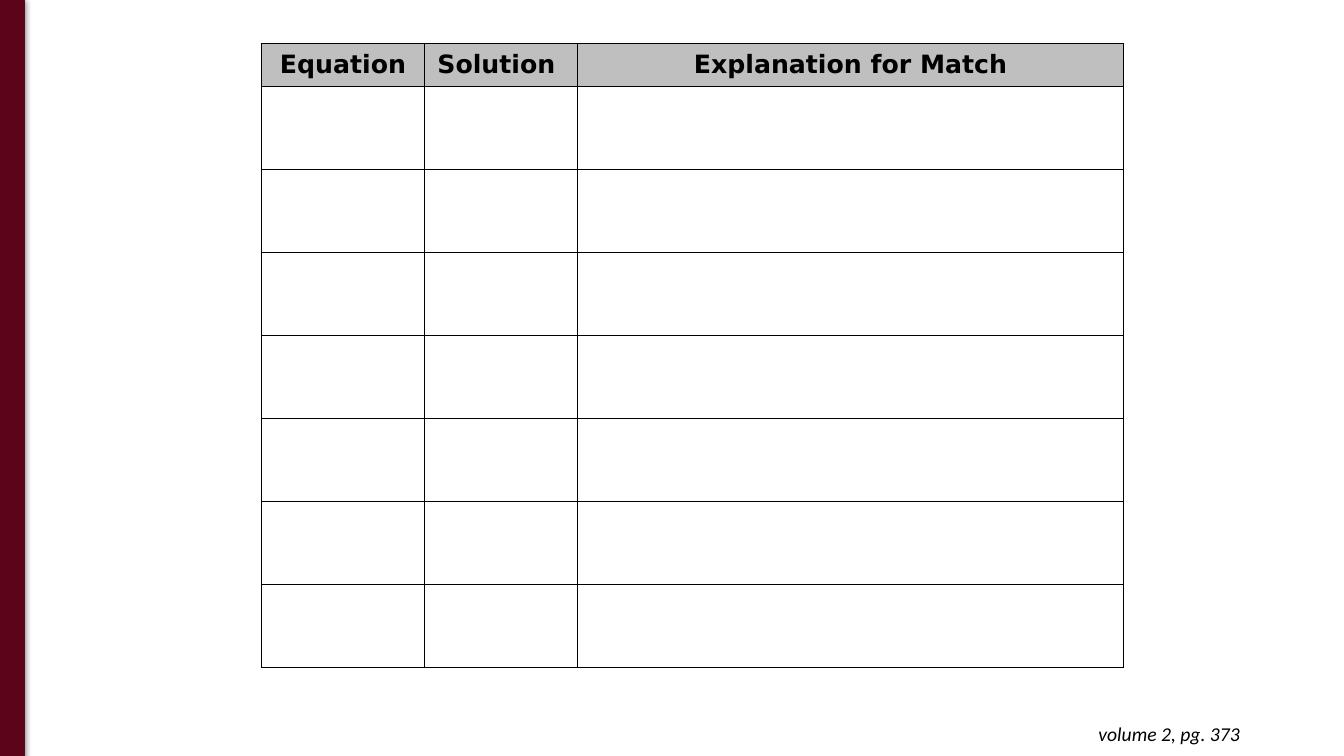
import pptx
import pptx.dml.color
import pptx.enum.shapes
import pptx.enum.text
import pptx.oxml
import pptx.oxml.ns
import pptx.util

Cm = pptx.util.Cm
Pt = pptx.util.Pt
Align = pptx.enum.text.PP_ALIGN
Anchor = pptx.enum.text.MSO_ANCHOR

COLORS = {"maroon": "5C051A", "header": "BFBFBF", "ink": "000000"}
HEADINGS = ["Equation", "Solution ", "Explanation for Match"]
COLUMN_WIDTHS = [4.09, 3.86, 13.77]
ROW_HEIGHTS = [1.09] + [2.09] * 7


def rgb(name):
    return pptx.dml.color.RGBColor.from_string(COLORS[name])


def apply(target, formats):
    for attribute, value in formats.items():
        setattr(target, attribute, value)


class MatchSlide:
    heading_font = {"name": "DejaVu Sans", "size": Pt(18), "bold": True}
    reference_font = {"name": "Calibri", "size": Pt(14), "italic": True}
    cell_format = {
        "margin_left": Cm(0.1), "margin_right": Cm(0.1),
        "margin_top": 0, "margin_bottom": 0,
        "vertical_anchor": Anchor.MIDDLE,
    }
    reference_format = {
        "margin_left": Cm(0.25), "margin_right": Cm(0.25),
        "margin_top": Cm(0.25), "margin_bottom": Cm(0.25),
        "word_wrap": True,
        "auto_size": pptx.enum.text.MSO_AUTO_SIZE.SHAPE_TO_FIT_TEXT,
    }

    def __init__(self, deck):
        self.slide = deck.slides.add_slide(deck.slide_layouts[6])

    def add_words(self, paragraph, text, font, alignment):
        paragraph.alignment = alignment
        run = paragraph.add_run()
        run.text = text
        apply(run.font, font)
        run.font.color.rgb = rgb("ink")

    def side_bar(self, left, top, width, height):
        bar = self.slide.shapes.add_shape(
            pptx.enum.shapes.MSO_SHAPE.RECTANGLE,
            Cm(left), Cm(top), Cm(width), Cm(height))
        bar.shadow.inherit = False
        bar.fill.solid()
        bar.fill.fore_color.rgb = rgb("maroon")
        bar.line.color.rgb = rgb("maroon")
        bar.line.width = Pt(0.75)
        effects = bar._element.spPr.find(pptx.oxml.ns.qn("a:effectLst"))
        effects.append(pptx.oxml.parse_xml(
            f'<a:outerShdw {pptx.oxml.ns.nsdecls("a")} blurRad="{Pt(4.5)}" '
            f'dist="{Pt(1.5)}" dir="5400000" rotWithShape="0">'
            f'<a:srgbClr val="{COLORS["ink"]}"><a:alpha val="50000"/>'
            '</a:srgbClr></a:outerShdw>'))

    def borders(self, cell):
        properties = cell._tc.get_or_add_tcPr()
        for position, side in enumerate(["lnL", "lnR", "lnT", "lnB"]):
            properties.insert(position, pptx.oxml.parse_xml(
                f'<a:{side} {pptx.oxml.ns.nsdecls("a")} w="{Pt(0.75)}">'
                f'<a:solidFill><a:srgbClr val="{COLORS["ink"]}"/></a:solidFill>'
                f'</a:{side}>'))

    def match_table(self, left, top):
        table = self.slide.shapes.add_table(
            len(ROW_HEIGHTS), len(COLUMN_WIDTHS), Cm(left), Cm(top),
            Cm(sum(COLUMN_WIDTHS)), Cm(sum(ROW_HEIGHTS))).table
        apply(table, {"first_row": False, "horz_banding": False})
        for column, width in zip(table.columns, COLUMN_WIDTHS):
            column.width = Cm(width)
        for row, height in zip(table.rows, ROW_HEIGHTS):
            row.height = Cm(height)
        for cell in table.iter_cells():
            apply(cell, self.cell_format)
            cell.fill.background()
            self.borders(cell)
        for cell, heading in zip(table.rows[0].cells, HEADINGS):
            cell.fill.solid()
            cell.fill.fore_color.rgb = rgb("header")
            self.add_words(cell.text_frame.paragraphs[0], heading,
                           self.heading_font, Align.CENTER)

    def page_reference(self, text, left, top, width, height):
        frame = self.slide.shapes.add_textbox(
            Cm(left), Cm(top), Cm(width), Cm(height)).text_frame
        apply(frame, self.reference_format)
        self.add_words(frame.paragraphs[0], text, self.reference_font, Align.RIGHT)


def main():
    deck = pptx.Presentation()
    apply(deck, {"slide_width": Cm(33.87), "slide_height": Cm(19.05)})
    page = MatchSlide(deck)
    page.side_bar(0, -0.03, 0.61, 19.08)
    page.match_table(6.6, 1.09)
    page.page_reference("volume 2, pg. 373", 24.18, 17.93, 7.32, 1.12)
    deck.save("out.pptx")


if __name__ == "__main__":
    main()
